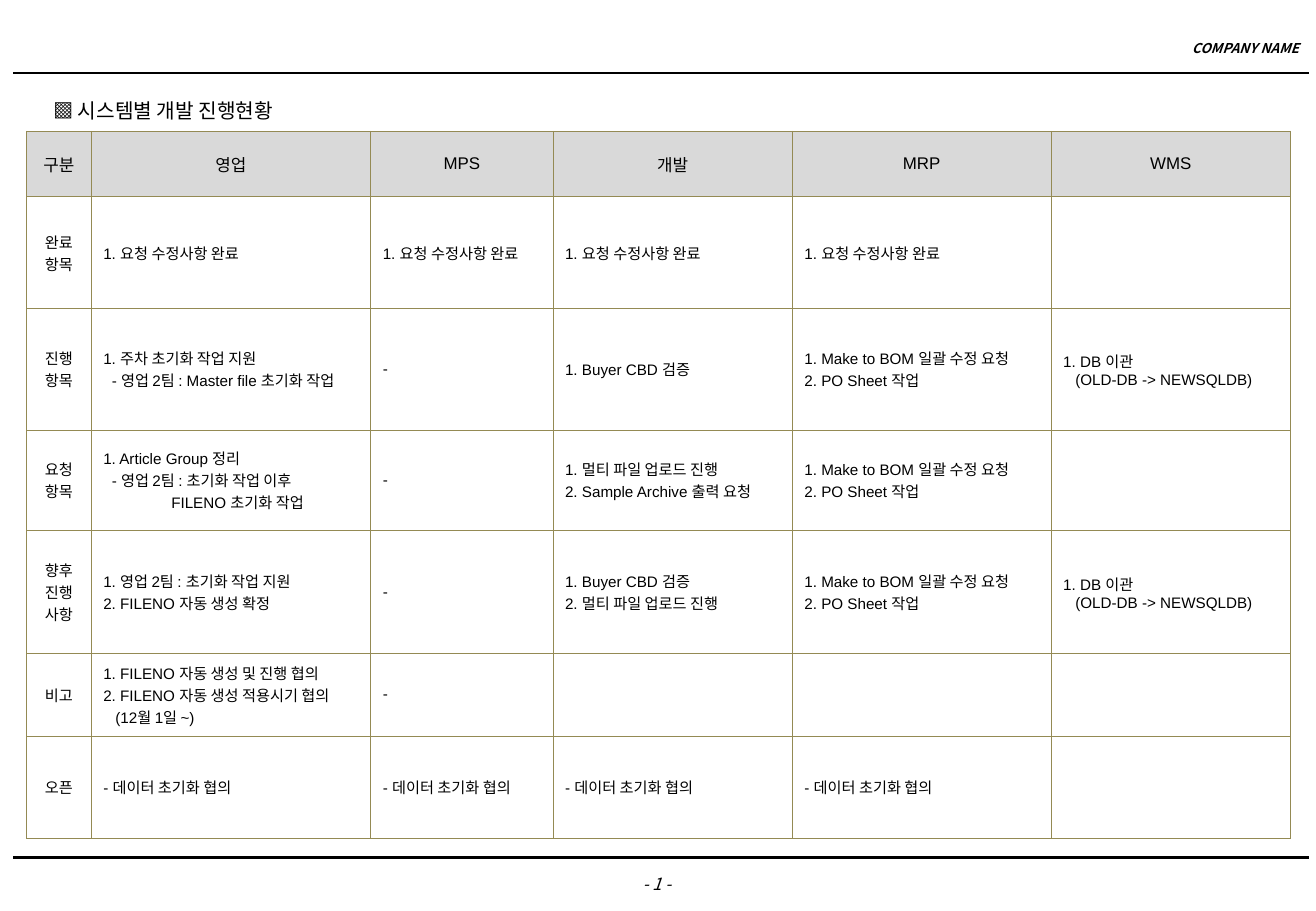
import dataclasses
import typing

import lxml.etree
import pptx
import pptx.dml.color
import pptx.enum.shapes
import pptx.enum.text
import pptx.oxml.ns
import pptx.util

Inches = pptx.util.Inches
Align = pptx.enum.text.PP_ALIGN
Anchor = pptx.enum.text.MSO_ANCHOR
qn = pptx.oxml.ns.qn

COLORS = {"ink": "000000", "header": "D9D9D9", "body": "FFFFFF", "border": "948A54"}
HANGUL_FONT = "Noto Sans CJK KR"
TABLE_FONT = "Arial"


@dataclasses.dataclass(frozen=True)
class Line:
    """One line of text with its left indent in inches."""
    text: str
    indent: float = 0


@dataclasses.dataclass(frozen=True)
class Label:
    """A free text box on the page."""
    text: str
    left: float
    top: float
    width: float
    height: float
    align: Align
    anchor: Anchor
    wrap: bool
    font: dict


Entry = typing.Tuple[Line, ...]


def entry(*texts: str) -> Entry:
    """Make a table entry of unindented lines."""
    return tuple(Line(text) for text in texts)


LABELS = [
    Label("- 1 -", 4.66, 7.14, 1.49, 0.27, Align.CENTER, Anchor.TOP, True,
          {"size": pptx.util.Pt(10), "italic": True}),
    Label("COMPANY NAME", 9.51, 0.16, 1.28, 0.47, Align.RIGHT, Anchor.MIDDLE, True,
          {"size": pptx.util.Pt(8), "bold": True, "italic": True}),
    Label("▩ 시스템별 개발 진행현황", 0.34, 0.76, 2.23, 0.3, Align.LEFT, Anchor.TOP, False,
          {"size": pptx.util.Pt(12)}),
]
RULE_HEIGHTS = [0.6, 7.06]

COLUMN_WIDTHS = [0.53, 2.3, 1.5, 1.97, 2.13, 1.97]
ROW_HEIGHTS = [0.54, 0.92, 1, 0.83, 1.01, 0.68, 0.84]

EMPTY = entry()
DASH = entry("-")
REVISED = entry("1. 요청 수정사항 완료")
RESET = entry("- 데이터 초기화 협의")
BOM = entry("1. Make to BOM 일괄 수정 요청", "2. PO Sheet 작업")
MIGRATION = (Line("1. DB 이관"), Line("(OLD-DB -> NEWSQLDB)", 0.1))

STATUS = [
    [entry(name) for name in ("구분", "영업", "MPS", "개발", "MRP", "WMS")],
    [entry("완료", "항목"), REVISED, REVISED, REVISED, REVISED, EMPTY],
    [entry("진행", "항목"),
     (Line("1. 주차 초기화 작업 지원"),
      Line("- 영업 2팀 : Master file 초기화 작업", 0.07)),
     DASH, entry("1. Buyer CBD 검증"), BOM, MIGRATION],
    [entry("요청", "항목"),
     (Line("1. Article Group 정리"), Line("- 영업 2팀 : 초기화 작업 이후", 0.07),
      Line("FILENO 초기화 작업", 0.56)),
     DASH, entry("1. 멀티 파일 업로드 진행", "2. Sample Archive 출력 요청"), BOM, EMPTY],
    [entry("향후", "진행", "사항"),
     entry("1. 영업 2팀 : 초기화 작업 지원", "2. FILENO 자동 생성 확정"),
     DASH, entry("1. Buyer CBD 검증", "2. 멀티 파일 업로드 진행"), BOM, MIGRATION],
    [entry("비고"),
     (Line("1. FILENO 자동 생성 및 진행 협의"), Line("2. FILENO 자동 생성 적용시기 협의"),
      Line("(12월 1일 ~)", 0.1)),
     DASH, EMPTY, EMPTY, EMPTY],
    [entry("오픈"), RESET, RESET, RESET, RESET, EMPTY],
]


def rgb(name: str) -> pptx.dml.color.RGBColor:
    """Look up a named colour."""
    return pptx.dml.color.RGBColor.from_string(COLORS[name])


def apply_format(target: typing.Any, values: dict) -> None:
    """Set each attribute named in a dict of format values."""
    for name, value in values.items():
        setattr(target, name, value)


def write_lines(frame: typing.Any, lines: Entry, align: Align, font: dict) -> None:
    """Write one formatted paragraph per line into a text frame."""
    for index, line in enumerate(lines):
        para = frame.add_paragraph() if index else frame.paragraphs[0]
        para.alignment = align
        if line.indent:
            para._p.get_or_add_pPr().set("marL", str(Inches(line.indent)))
        span = para.add_run()
        span.text = line.text
        apply_format(span.font, font)
        span.font.color.rgb = rgb("ink")
        east_asian = lxml.etree.SubElement(span._r.get_or_add_rPr(), qn("a:ea"))
        east_asian.set("typeface", HANGUL_FONT)


def draw_label(page: typing.Any, label: Label) -> None:
    """Add a text box for a label."""
    box = page.shapes.add_textbox(Inches(label.left), Inches(label.top),
                                  Inches(label.width), Inches(label.height))
    apply_format(box.text_frame, {"word_wrap": label.wrap, "vertical_anchor": label.anchor})
    write_lines(box.text_frame, entry(label.text), label.align,
                {"name": HANGUL_FONT, **label.font})


def draw_rule(page: typing.Any, top: float) -> None:
    """Add a horizontal rule across the page."""
    rule = page.shapes.add_connector(pptx.enum.shapes.MSO_CONNECTOR.STRAIGHT,
                                     Inches(0.11), Inches(top), Inches(10.77), Inches(top))
    rule.line.color.rgb = rgb("ink")
    rule.line.width = pptx.util.Pt(1.25)
    lxml.etree.SubElement(rule._element.spPr, qn("a:effectLst"))


def draw_borders(cell: typing.Any) -> None:
    """Give a cell a thin line on all four sides."""
    properties = cell._tc.get_or_add_tcPr()
    for index, side in enumerate(("lnL", "lnR", "lnT", "lnB")):
        edge = lxml.etree.Element(qn("a:" + side), w=str(pptx.util.Pt(0.5)))
        fill = lxml.etree.SubElement(edge, qn("a:solidFill"))
        lxml.etree.SubElement(fill, qn("a:srgbClr"), val=COLORS["border"])
        properties.insert(index, edge)


def draw_status_table(page: typing.Any) -> None:
    """Add the table of progress by system."""
    frame = page.shapes.add_table(len(ROW_HEIGHTS), len(COLUMN_WIDTHS),
                                  Inches(0.22), Inches(1.08),
                                  Inches(sum(COLUMN_WIDTHS)), Inches(sum(ROW_HEIGHTS)))
    table = frame.table
    apply_format(table, {"first_row": False, "horz_banding": False})
    for column, width in zip(table.columns, COLUMN_WIDTHS):
        column.width = Inches(width)
    for row, height in zip(table.rows, ROW_HEIGHTS):
        row.height = Inches(height)
    for row_index, entries in enumerate(STATUS):
        is_header = row_index == 0
        font = {"name": TABLE_FONT, "size": pptx.util.Pt(10 if is_header else 9)}
        for column_index, lines in enumerate(entries):
            cell = table.cell(row_index, column_index)
            cell.vertical_anchor = Anchor.MIDDLE
            cell.fill.solid()
            cell.fill.fore_color.rgb = rgb("header" if is_header else "body")
            draw_borders(cell)
            centred = is_header or column_index == 0
            write_lines(cell.text_frame, lines, Align.CENTER if centred else Align.LEFT, font)


def build() -> None:
    """Build the deck and save it."""
    deck = pptx.Presentation()
    apply_format(deck, {"slide_width": Inches(10.83), "slide_height": Inches(7.5)})
    page = deck.slides.add_slide(deck.slide_layouts[6])
    for top in RULE_HEIGHTS:
        draw_rule(page, top)
    draw_status_table(page)
    for label in LABELS:
        draw_label(page, label)
    deck.save("out.pptx")


build()
